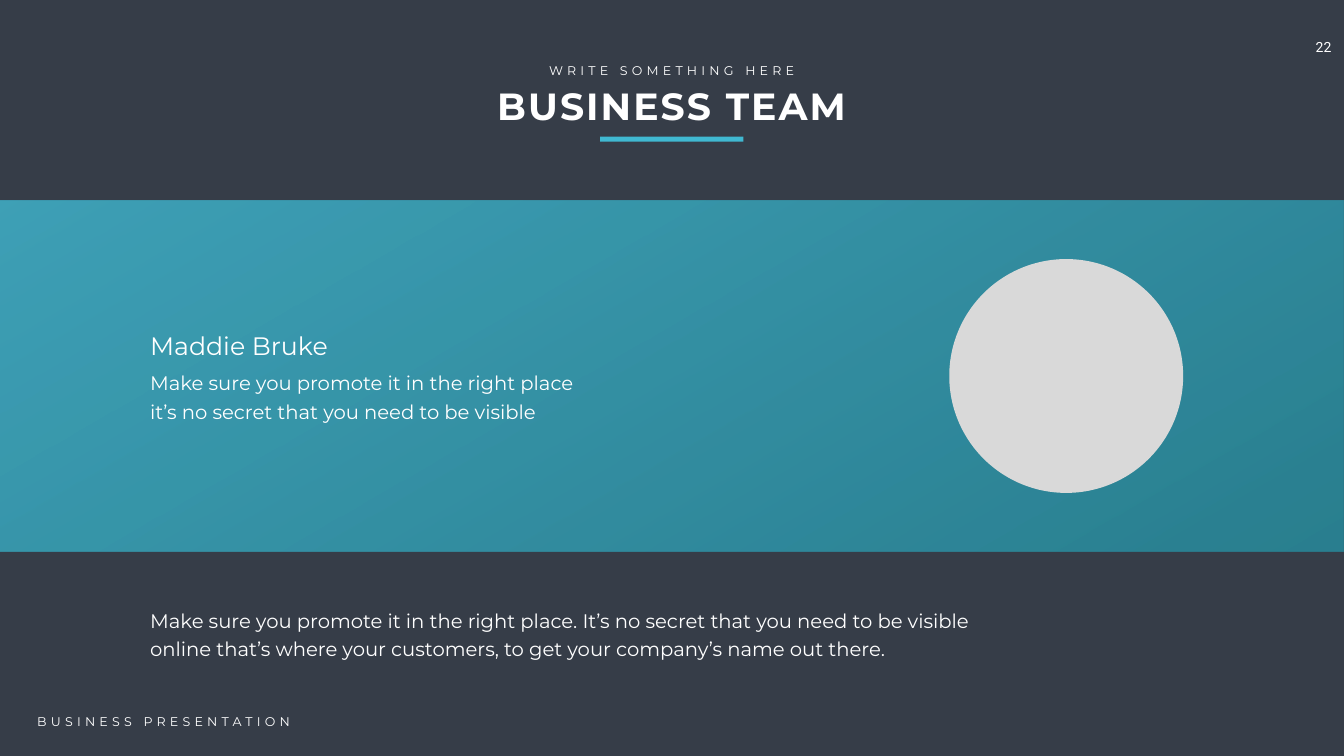
from lxml import etree
from pptx import Presentation
from pptx.dml.color import RGBColor
from pptx.enum.shapes import MSO_SHAPE as Shape
from pptx.enum.text import MSO_AUTO_SIZE as AutoSize, PP_ALIGN as Align
from pptx.oxml.ns import qn
from pptx.util import Inches, Pt

SLATE = RGBColor(0x36, 0x3D, 0x48)
CYAN = RGBColor(0x40, 0xB8, 0xD1)
TEAL = RGBColor(0x26, 0x8E, 0xA0)
GREY = RGBColor(0xD9, 0xD9, 0xD9)
WHITE = RGBColor(0xFF, 0xFF, 0xFF)

SLIDE_W, SLIDE_H = 26.66, 15
MARGIN = 2.88
BODY_LEADING = 40.8


def add_text(slide, box, text, size, font="Montserrat", align=Align.LEFT,
             bold=False, tracking=0, leading=None, wrap=True):
    """Place one paragraph; tracking and leading are in points."""
    frame = slide.shapes.add_textbox(*map(Inches, box)).text_frame
    frame.word_wrap = wrap
    frame.auto_size = AutoSize.SHAPE_TO_FIT_TEXT
    paragraph = frame.paragraphs[0]
    paragraph.alignment = align
    if leading:
        paragraph.line_spacing = Pt(leading)
    run = paragraph.add_run()
    run.text = text
    run.font.name = font
    run.font.size = Pt(size)
    run.font.bold = bold
    run.font.color.rgb = WHITE
    if tracking:
        run.font._element.set("spc", str(tracking * 100))


def add_plain_shape(slide, preset, box, color=None):
    shape = slide.shapes.add_shape(preset, *map(Inches, box))
    shape.shadow.inherit = False
    shape.line.fill.background()
    if color is not None:
        shape.fill.solid()
        shape.fill.fore_color.rgb = color
    return shape


def fill_translucent_gradient(shape, colors, positions, angle, opacity):
    """Fill with a linear gradient; the angle runs counter-clockwise."""
    shape.fill.gradient()
    shape.fill.gradient_angle = angle
    for stop, color, position in zip(shape.fill.gradient_stops, colors, positions):
        stop.color.rgb = color
        stop.position = position
    for color_element in shape._element.spPr.iter(qn("a:srgbClr")):
        alpha = etree.SubElement(color_element, qn("a:alpha"))
        alpha.set("val", str(opacity * 1000))


def add_heading(slide, left, top, width):
    add_text(slide, (left, top + 0.4, width, 1.01), "BUSINESS TEAM", 54,
             align=Align.CENTER, bold=True, tracking=3)
    add_text(slide, (left, top, width, 0.4), "WRITE SOMETHING HERE", 18,
             align=Align.CENTER, tracking=6)
    rule_width = 2.84
    add_plain_shape(slide, Shape.RECTANGLE,
                    (left + (width - rule_width) / 2, top + 1.52, rule_width, 0.1), CYAN)


def add_member_band(slide, left, top, width, height):
    band = add_plain_shape(slide, Shape.RECTANGLE, (left, top, width, height))
    fill_translucent_gradient(band, (CYAN, TEAL), (0, 0.98), angle=300, opacity=80)

    portrait = 4.64
    add_plain_shape(slide, Shape.OVAL,
                    (left + 18.83, top + (height - portrait) / 2, portrait, portrait), GREY)

    text_left = left + MARGIN
    add_text(slide, (text_left, top + 2.53, 4.81, 0.71), "Maddie Bruke", 36)
    add_text(slide, (text_left, top + 3.24, 8.77, 1.2),
             "Make sure you promote it in the right place "
             "it’s no secret that you need to be visible",
             28, leading=BODY_LEADING)


def add_footer(slide, top):
    add_text(slide, (MARGIN, top + 0.98, 17.45, 1.2),
             "Make sure you promote it in the right place. It’s no secret that you need "
             "to be visible online that’s where your customers, to get your company’s "
             "name out there.",
             28, leading=BODY_LEADING)
    add_text(slide, (0.64, top + 3.17, 6.05, 0.4), "BUSINESS PRESENTATION", 18, tracking=6)


def main():
    deck = Presentation()
    deck.slide_width, deck.slide_height = Inches(SLIDE_W), Inches(SLIDE_H)
    slide = deck.slides.add_slide(deck.slide_layouts[6])
    slide.background.fill.solid()
    slide.background.fill.fore_color.rgb = SLATE

    band_top, band_height = 3.97, 6.98
    add_text(slide, (25.8, 0.72, 0.91, 0.44), "22", 20, font="Roboto",
             align=Align.CENTER, wrap=False)
    add_heading(slide, 7.29, 1.19, 12.07)
    add_member_band(slide, 0, band_top, SLIDE_W, band_height)
    add_footer(slide, band_top + band_height)
    deck.save("out.pptx")


if __name__ == "__main__":
    main()
